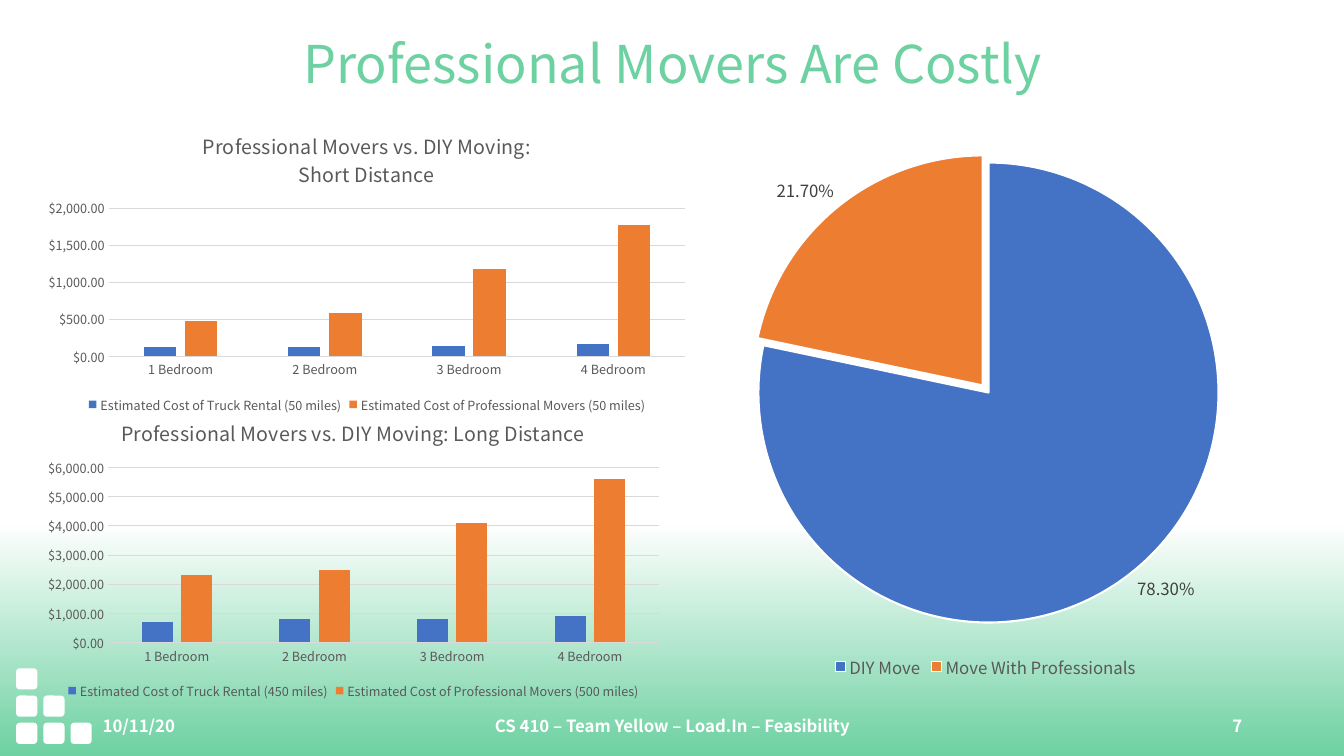
from pptx import Presentation
from pptx.chart.data import CategoryChartData
from pptx.dml.color import RGBColor
from pptx.enum.chart import XL_CHART_TYPE, XL_LABEL_POSITION, XL_LEGEND_POSITION, XL_TICK_MARK
from pptx.enum.shapes import MSO_SHAPE
from pptx.enum.text import MSO_ANCHOR, MSO_AUTO_SIZE, PP_ALIGN
from pptx.util import Inches, Pt

FACE = "Noto Sans CJK KR"
GREEN, WHITE, GRAY, DARK, RULE = "6DD1A1", "FFFFFF", "595959", "404040", "D9D9D9"
BLUE, ORANGE = "4472C4", "ED7D31"


def paint(target, color):
    """Give a font or line its colour, or a fill a solid colour."""
    if hasattr(target, "solid"):
        target.solid()
        target.fore_color.rgb = RGBColor.from_string(color)
    else:
        target.color.rgb = RGBColor.from_string(color)


def set_font(font, size, color, bold=False):
    for name, value in {"name": FACE, "size": Pt(size), "bold": bold}.items():
        setattr(font, name, value)
    paint(font, color)


deck = Presentation()
deck.slide_width, deck.slide_height = Inches(13.33), Inches(7.5)
page = deck.slides.add_slide(deck.slide_layouts[5])

# Background fading from white to green
backdrop = page.background.fill
backdrop.gradient()
backdrop.gradient_angle = 270
for stop, (position, color) in zip(backdrop.gradient_stops, [(0.69, WHITE), (1, GREEN)]):
    stop.position = position
    stop.color.rgb = RGBColor.from_string(color)

# Staircase of squares in the lower left corner
STEP, SIDE = 0.27, 0.21
for column, height in enumerate([3, 2, 1]):
    for row in range(height):
        square = page.shapes.add_shape(
            MSO_SHAPE.ROUNDED_RECTANGLE,
            Inches(0.16 + column * STEP), Inches(7.17 - row * STEP),
            Inches(SIDE), Inches(SIDE))
        square.shadow.inherit = False
        paint(square.fill, WHITE)
        square.line.fill.background()

# Title
title = page.shapes.title
for name, value in {"left": 0.92, "top": 0.4, "width": 11.5, "height": 0.59}.items():
    setattr(title, name, Inches(value))
frame = title.text_frame
frame.text = "Professional Movers Are Costly"
for name, value in {"auto_size": MSO_AUTO_SIZE.NONE, "word_wrap": True,
                    "vertical_anchor": MSO_ANCHOR.MIDDLE}.items():
    setattr(frame, name, value)
para = frame.paragraphs[0]
para.alignment, para.line_spacing = PP_ALIGN.CENTER, 0.7
set_font(para.font, 37.2, GREEN)

# Footer: date, team, slide number
for text, left, width, alignment in [
        ("10/11/20", 0.92, 3, PP_ALIGN.LEFT),
        ("CS 410 – Team Yellow – Load.In – Feasibility", 4.42, 4.5, PP_ALIGN.CENTER),
        ("7", 9.42, 3, PP_ALIGN.RIGHT)]:
    box = page.shapes.add_textbox(Inches(left), Inches(6.9), Inches(width), Inches(0.6))
    frame = box.text_frame
    frame.text = text
    frame.word_wrap, frame.vertical_anchor = True, MSO_ANCHOR.MIDDLE
    frame.paragraphs[0].alignment = alignment
    set_font(frame.paragraphs[0].font, 12, WHITE, True)

# Charts: heading, place, largest axis value, legend size, categories, series
BEDROOMS = [f"{count} Bedroom" for count in range(1, 5)]
CHARTS = [
    ("Professional Movers vs. DIY Moving:\nShort Distance", (0.35, 1.14, 6.58, 3), 2000, 9, BEDROOMS,
     {"Estimated Cost of Truck Rental (50 miles)": (130, 130, 140, 160),
      "Estimated Cost of Professional Movers (50 miles)": (480, 580, 1180, 1770)}),
    ("Professional Movers vs. DIY Moving: Long Distance", (0.35, 3.98, 6.31, 3), 6000, 9, BEDROOMS,
     {"Estimated Cost of Truck Rental (450 miles)": (700, 800, 800, 900),
      "Estimated Cost of Professional Movers (500 miles)": (2300, 2500, 4100, 5600)}),
    (None, (6.94, 1.34, 5.67, 5.44), None, 12, ["DIY Move", "Move With Professionals"],
     {"Series 1": (78.3, 21.7)}),
]
for heading, place, top_value, legend_size, categories, series in CHARTS:
    data = CategoryChartData()
    data.categories = categories
    for name, values in series.items():
        data.add_series(name, values)
    kind = XL_CHART_TYPE.COLUMN_CLUSTERED if heading else XL_CHART_TYPE.PIE
    chart = page.shapes.add_chart(kind, *map(Inches, place), data).chart
    set_font(chart.font, legend_size, GRAY)
    chart.has_legend = True
    chart.legend.position = XL_LEGEND_POSITION.BOTTOM
    chart.legend.include_in_layout = False
    set_font(chart.legend.font, legend_size, GRAY)
    plot = chart.plots[0]

    if heading:
        chart.has_title = True
        chart.chart_title.include_in_layout = False
        chart.chart_title.text_frame.text = heading
        for para in chart.chart_title.text_frame.paragraphs:
            set_font(para.font, 14, GRAY)
        plot.gap_width, plot.overlap, plot.vary_by_categories = 219, -27, False
        for bars, color in zip(plot.series, [BLUE, ORANGE]):
            paint(bars.format.fill, color)
        for axis in (chart.category_axis, chart.value_axis):
            axis.major_tick_mark = axis.minor_tick_mark = XL_TICK_MARK.NONE
            set_font(axis.tick_labels.font, 9, GRAY)
        cost = chart.value_axis
        cost.minimum_scale, cost.maximum_scale = 0, top_value
        cost.tick_labels.number_format = "\\$#,##0.00"
        cost.tick_labels.number_format_is_linked = False
        cost.format.line.fill.background()
        for line in (chart.category_axis.format.line, cost.major_gridlines.format.line):
            paint(line, RULE)
            line.width = Pt(0.75)
    else:
        chart.has_title = False
        plot.vary_by_categories = True
        pie = plot.series[0]
        pie._element.get_or_add_explosion().set("val", "2") if hasattr(
            pie._element, "get_or_add_explosion") else None
        for index, color in enumerate([BLUE, ORANGE]):
            slice_format = pie.points[index].format
            paint(slice_format.fill, color)
            paint(slice_format.line, WHITE)
            slice_format.line.width = Pt(1.5)
        # Both slices stand slightly apart
        for point in pie._element.findall("{*}dPt"):
            gap = point.makeelement(point.tag.replace("dPt", "explosion"), {"val": "2"})
            point.find("{*}spPr").addprevious(gap)
        plot.has_data_labels = True
        labels = plot.data_labels
        for name, value in {"show_percentage": True, "show_value": False,
                            "number_format": "0.00%", "number_format_is_linked": False,
                            "position": XL_LABEL_POSITION.OUTSIDE_END}.items():
            setattr(labels, name, value)
        set_font(labels.font, 12, DARK)

deck.save("out.pptx")
